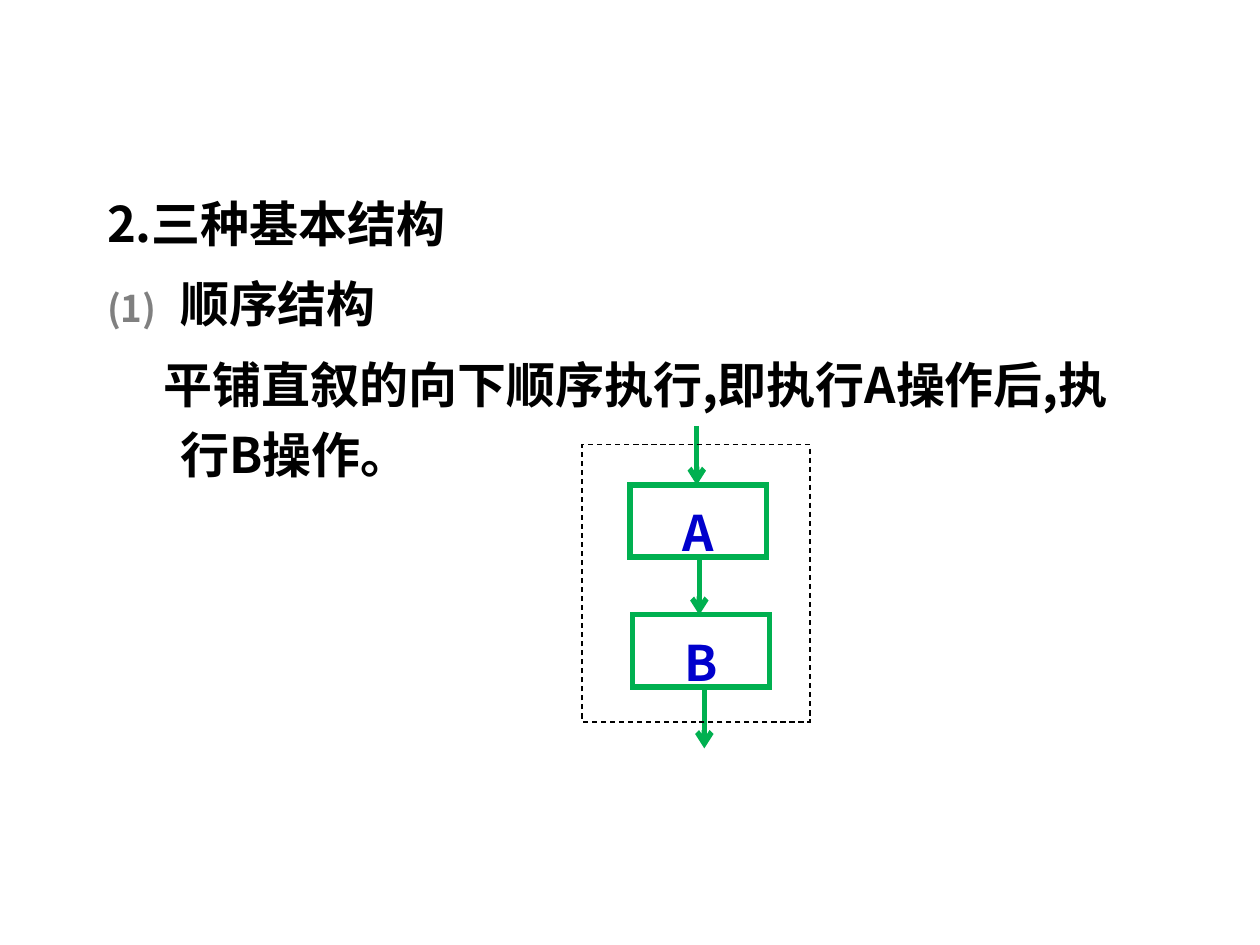
from lxml.etree import SubElement
from pptx import Presentation
from pptx.dml.color import RGBColor
from pptx.enum.dml import MSO_LINE_DASH_STYLE as Dash
from pptx.enum.shapes import MSO_CONNECTOR as Connector, MSO_SHAPE as Shape
from pptx.enum.text import MSO_ANCHOR as Anchor, MSO_AUTO_SIZE as AutoSize, PP_ALIGN as Align
from pptx.oxml.ns import qn
from pptx.util import Inches, Pt

FONT = "Noto Sans CJK SC"
GREEN, BLUE, BLACK, GRAY = "00B050", "0000CC", "000000", "808080"


def paint(color_format, hex_color):
    color_format.rgb = RGBColor.from_string(hex_color)


def style_text(paragraph, hex_color):
    paragraph.line_spacing = 1.2
    font = paragraph.font
    font.name, font.size, font.bold = FONT, Pt(28), True
    paint(font.color, hex_color)
    defaults = paragraph._p.pPr.find(qn("a:defRPr"))
    SubElement(defaults, qn("a:ea")).set("typeface", FONT)


def set_bullet(properties, numbered):
    if not numbered:
        SubElement(properties, qn("a:buNone"))
        return
    color = SubElement(properties, qn("a:buClr"))
    SubElement(color, qn("a:srgbClr")).set("val", GRAY)
    SubElement(properties, qn("a:buSzPct")).set("val", "75000")
    SubElement(properties, qn("a:buAutoNum")).set("type", "arabicParenBoth")


def place_body(body, box, points):
    body.left, body.top, body.width, body.height = map(Inches, box)
    frame = body.text_frame
    frame.word_wrap = True
    frame.auto_size = AutoSize.NONE
    frame.vertical_anchor = Anchor.TOP
    for index, (text, numbered, indent) in enumerate(points):
        paragraph = frame.add_paragraph() if index else frame.paragraphs[0]
        paragraph.text = text
        paragraph.space_before = Pt(5.6 if index else 0)
        properties = paragraph._p.get_or_add_pPr()
        properties.set("marL", str(Inches(0.58)))
        properties.set("indent", str(Inches(indent)))
        set_bullet(properties, numbered)
        style_text(paragraph, BLACK)


def add_outline(slide, box, hex_color, weight):
    outline = slide.shapes.add_shape(Shape.RECTANGLE, *map(Inches, box))
    outline.shadow.inherit = False
    outline.fill.background()
    outline.line.width = Pt(weight)
    paint(outline.line.color, hex_color)
    SubElement(outline.line._get_or_add_ln(), qn("a:miter")).set("lim", "800000")
    return outline


def add_step(slide, box, label):
    step = add_outline(slide, box, GREEN, 3)
    frame = step.text_frame
    frame.vertical_anchor = Anchor.MIDDLE
    frame.margin_top = Inches(0.13)
    paragraph = frame.paragraphs[0]
    paragraph.text = label
    paragraph.alignment = Align.CENTER
    style_text(paragraph, BLUE)


def add_flow(slide, x, top, bottom):
    flow = slide.shapes.add_connector(Connector.STRAIGHT, *map(Inches, (x, top, x, bottom)))
    flow.line.width = Pt(3)
    paint(flow.line.color, GREEN)
    SubElement(flow.line._get_or_add_ln(), qn("a:tailEnd")).set("type", "arrow")
    SubElement(flow._element.spPr, qn("a:effectLst"))


def place_sequence(slide, box):
    left, top, width, height = box
    for x, y in ((0.91, -0.15), (0.93, 0.88), (0.97, 1.94)):
        add_flow(slide, left + x, top + y, top + y + 0.47)
    for label, x, y in (("A", 0.38, 0.32), ("B", 0.4, 1.35)):
        add_step(slide, (left + x, top + y, 0.6 * width, 0.26 * height), label)
    add_outline(slide, box, BLACK, 0.75).line.dash_style = Dash.DASH


def main():
    deck = Presentation()
    deck.slide_width, deck.slide_height = Inches(10), Inches(7.5)
    slide = deck.slides.add_slide(deck.slide_layouts[1])
    title, body = slide.placeholders
    title._element.getparent().remove(title._element)
    place_body(body, (0.75, 1.39, 8.52, 2.76), (
        ("2.三种基本结构", False, -0.58),
        ("顺序结构", True, -0.58),
        ("平铺直叙的向下顺序执行,即执行A操作后,执行B操作。", False, -0.13),
    ))
    place_sequence(slide, (4.62, 3.53, 1.81, 2.2))
    deck.save("out.pptx")


if __name__ == "__main__":
    main()
